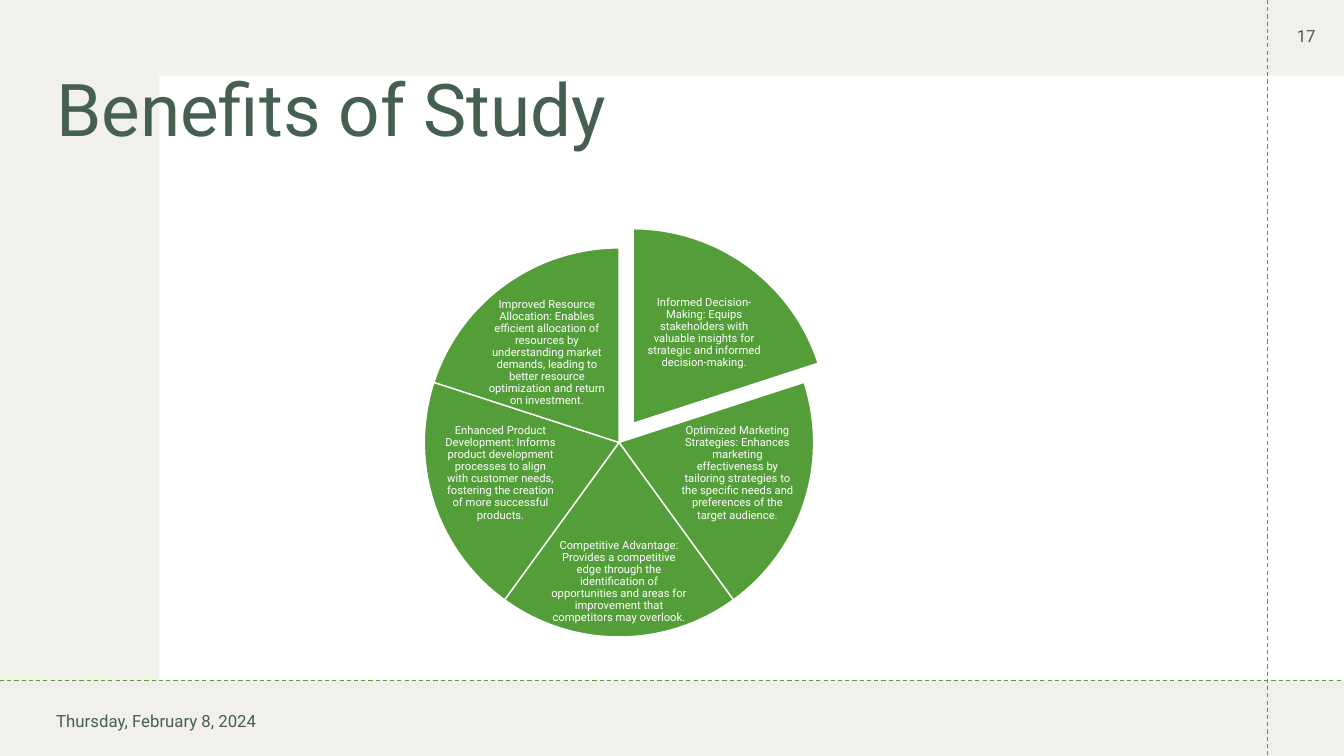
"""Build the Benefits of Study slide with a five-part pie of benefits."""
from dataclasses import dataclass

from lxml.etree import SubElement
from pptx import Presentation
from pptx.dml.color import RGBColor
from pptx.enum.dml import MSO_LINE
from pptx.enum.shapes import MSO_CONNECTOR, MSO_SHAPE
from pptx.enum.text import MSO_ANCHOR, PP_ALIGN
from pptx.oxml.ns import qn
from pptx.util import Inches, Pt

TITLE = "Benefits of Study"
DATE = "Thursday, February 8, 2024"
PAGE_NUMBER = "17"
BENEFITS = [
    ("Informed Decision-Making: Equips stakeholders with valuable insights for "
     "strategic and informed decision-making.", (6.33, 2.85, 1.31, 0.9)),
    ("Optimized Marketing Strategies: Enhances marketing effectiveness by tailoring "
     "strategies to the specific needs and preferences of the target audience.",
     (6.74, 4.21, 1.15, 0.97)),
    ("Competitive Advantage: Provides a competitive edge through the identification of "
     "opportunities and areas for improvement that competitors may overlook.",
     (5.45, 5.36, 1.38, 0.83)),
    ("Enhanced Product Development: Informs product development processes to align with "
     "customer needs, fostering the creation of more successful products.",
     (4.39, 4.21, 1.15, 0.97)),
    ("Improved Resource Allocation: Enables efficient allocation of resources by "
     "understanding market demands, leading to better resource optimization and return "
     "on investment.", (4.77, 3.05, 1.31, 0.9)),
]
WIDTH, HEIGHT = 13.33, 7.5
PIE_LEFT, PIE_TOP, PIE_SIZE = 4.21, 2.46, 3.86
FIRST_SLICE_SHIFT = (0.14, -0.19)
GUIDES = [(12.57, 0, 12.57, HEIGHT), (0, 6.75, WIDTH, 6.75)]
ANGLE_UNITS_PER_DEGREE = 0.6


@dataclass(frozen=True)
class Theme:
    """Colours, font and type sizes."""
    font: str = "Roboto"
    beige: RGBColor = RGBColor(0xE3, 0xDE, 0xD1)
    white: RGBColor = RGBColor(0xFF, 0xFF, 0xFF)
    green: RGBColor = RGBColor(0x54, 0x9E, 0x39)
    dark: RGBColor = RGBColor(0x45, 0x5F, 0x51)
    title_size: int = 52
    footer_size: int = 12
    label_size: int = 8


THEME = Theme()


def add_filled_shape(slide, kind, box, color, outline=None):
    shape = slide.shapes.add_shape(kind, *map(Inches, box))
    shape.shadow.inherit = False
    shape.fill.solid()
    shape.fill.fore_color.rgb = color
    if outline is None:
        shape.line.fill.background()
    else:
        shape.line.color.rgb = outline
        shape.line.width = Pt(1)
    return shape


def add_text(slide, text, box, size, color, align=PP_ALIGN.LEFT, spacing=1.0, margin=None):
    frame = slide.shapes.add_textbox(*map(Inches, box)).text_frame
    frame.word_wrap = True
    frame.vertical_anchor = MSO_ANCHOR.MIDDLE
    if margin is not None:
        frame.margin_left = frame.margin_right = Inches(margin)
        frame.margin_top = frame.margin_bottom = Inches(margin)
    frame.text = text
    paragraph = frame.paragraphs[0]
    paragraph.alignment = align
    paragraph.line_spacing = spacing
    font = paragraph.runs[0].font
    font.name, font.size, font.color.rgb = THEME.font, Pt(size), color


def add_guide(slide, ends):
    guide = slide.shapes.add_connector(MSO_CONNECTOR.STRAIGHT, *map(Inches, ends))
    guide.line.color.rgb = THEME.green
    guide.line.width = Pt(0.75)
    guide.line.dash_style = MSO_LINE.DASH
    SubElement(guide.element.spPr, qn("a:effectLst"))


def add_background(slide):
    backdrop = add_filled_shape(slide, MSO_SHAPE.RECTANGLE, (0, 0, WIDTH, HEIGHT), THEME.beige)
    color = backdrop.element.spPr.find(qn("a:solidFill")).find(qn("a:srgbClr"))
    SubElement(color, qn("a:alpha"), val="45000")
    add_filled_shape(slide, MSO_SHAPE.RECTANGLE, (1.58, 0.75, 11.75, 6), THEME.white)
    for ends in GUIDES:
        add_guide(slide, ends)


def add_benefit_pie(slide):
    sweep = 360 / len(BENEFITS)
    for index, (text, label_box) in enumerate(BENEFITS):
        shift_x, shift_y = FIRST_SLICE_SHIFT if index == 0 else (0, 0)
        box = (PIE_LEFT + shift_x, PIE_TOP + shift_y, PIE_SIZE, PIE_SIZE)
        pie_slice = add_filled_shape(slide, MSO_SHAPE.PIE, box, THEME.green, THEME.white)
        start = 270 + index * sweep
        for side, angle in enumerate((start, start + sweep)):
            pie_slice.adjustments[side] = angle % 360 * ANGLE_UNITS_PER_DEGREE
        add_text(slide, text, label_box, THEME.label_size, THEME.white,
                 PP_ALIGN.CENTER, spacing=0.9, margin=0.01)


def main():
    presentation = Presentation()
    presentation.slide_width, presentation.slide_height = Inches(WIDTH), Inches(HEIGHT)
    slide = presentation.slides.add_slide(presentation.slide_layouts[6])
    add_background(slide)
    add_text(slide, TITLE, (0.46, 0.4, 11.5, 1.45), THEME.title_size, THEME.dark, spacing=0.9)
    add_benefit_pie(slide)
    add_text(slide, DATE, (0.46, 6.8, 3, 0.7), THEME.footer_size, THEME.dark)
    add_text(slide, PAGE_NUMBER, (12.58, -0.02, 0.75, 0.75), THEME.footer_size, THEME.dark,
             PP_ALIGN.CENTER)
    presentation.save("out.pptx")


if __name__ == "__main__":
    main()
